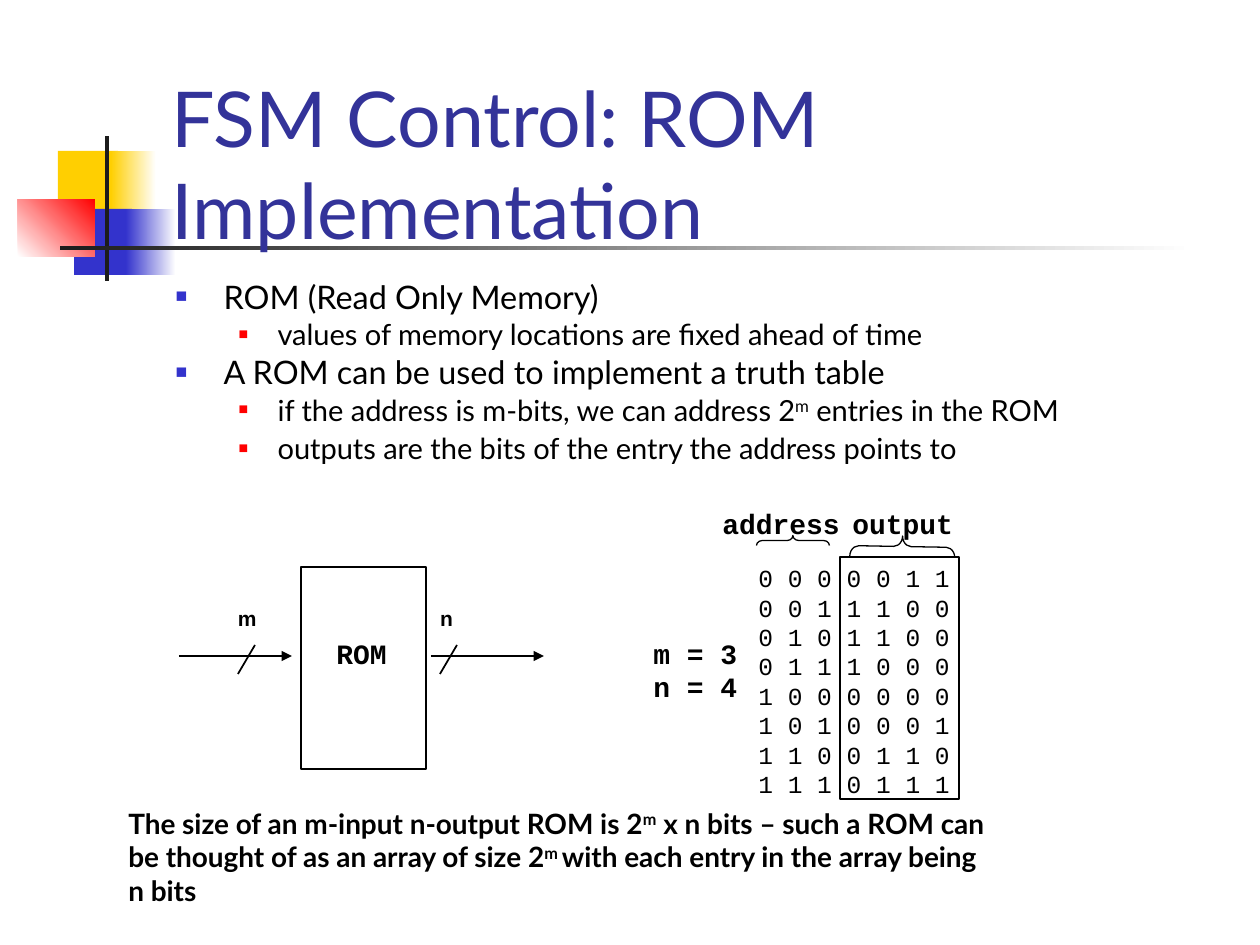
from dataclasses import dataclass

from lxml import etree
from pptx import Presentation
from pptx.dml.color import RGBColor
from pptx.enum.shapes import MSO_CONNECTOR, MSO_SHAPE
from pptx.enum.text import MSO_ANCHOR, MSO_AUTO_SIZE, PP_ALIGN
from pptx.oxml.ns import qn
from pptx.util import Pt

RECTANGLE, BRACE = MSO_SHAPE.RECTANGLE, MSO_SHAPE.RIGHT_BRACE
STRAIGHT = MSO_CONNECTOR.STRAIGHT
LEFT = PP_ALIGN.LEFT
TOP, MIDDLE = MSO_ANCHOR.TOP, MSO_ANCHOR.MIDDLE
NO_FIT = MSO_AUTO_SIZE.NONE
PX = 914400 / 126


@dataclass(frozen=True)
class Theme:
    sans: str = "Lato"
    mono: str = "Courier New"
    label: str = "Arial"
    ink: str = "000000"
    white: str = "FFFFFF"
    title: str = "333399"
    yellow: str = "FFCF01"
    blue: str = "3333CC"
    red: str = "FF0000"
    bar: str = "1C1C1C"
    title_size: float = 44
    body_size: float = 18.5
    sub_size: float = 16.6
    strong_size: float = 16
    bits_size: float = 14
    label_size: float = 12


THEME = Theme()

# Text between two carets is superscript.
TITLE = "FSM Control: ROM Implementation"
BODY = [  # level, space before in points, text
    (0, 0, "ROM (Read Only Memory)"),
    (1, 4.5, "values of memory locations are fixed ahead of time"),
    (0, 5, "A ROM can be used to implement a truth table"),
    (1, 4.5, "if the address is m-bits, we can address 2^m^ entries in the ROM"),
    (1, 6, "outputs are the bits of the entry the address points to"),
]
LEVELS = [  # size, bullet colour, bullet percent, left margin px, hanging px
    (THEME.body_size, THEME.blue, 60, 48, 48),
    (THEME.sub_size, THEME.red, 55, 102, 39),
]
ROM_OUTPUTS = ["0 0 1 1", "1 1 0 0", "1 1 0 0", "1 0 0 0",
               "0 0 0 0", "0 0 0 1", "0 1 1 0", "0 1 1 1"]
TRUTH_TABLE = [" ".join(f"{address:03b}") + " " + output
               for address, output in enumerate(ROM_OUTPUTS)]
CAPTION = [
    "The size of an m-input n-output ROM is 2^m^ x n bits – such a ROM can",
    "be thought of as an array of size 2^m ^with each entry in the array being",
    "n bits",
]

# box px, colours (two make a gradient), clockwise angle
DECORATION = [
    ((58, 151, 60, 66), (THEME.yellow,), 0),
    ((111, 151, 45, 66), (THEME.yellow, THEME.white), 0),
    ((74, 209, 58, 66), (THEME.blue,), 0),
    ((126, 209, 50, 66), (THEME.blue, THEME.white), 0),
    ((18, 199, 77, 58), (THEME.white, THEME.red), 315),
    ((105, 136, 4, 145), (THEME.bar,), 0),
    ((60, 246, 1134, 4), (THEME.bar, THEME.white), 0),
]
TITLE_BOX = (159, 84, 1074, 158)
BODY_BOX = (163, 278, 1071, 567)
ROM_BOX = (301, 567, 125, 202)
OUTPUT_FRAME = (840, 557, 119, 242)
WIRES = [(179, 236, "m"), (431, 438, "n")]  # arrow start, label left, name
WIRE_Y, WIRE_LENGTH = 656, 113
MONO_TEXTS = [  # box px, lines, size, bold
    ((746, 557, 230, 247), TRUTH_TABLE, THEME.bits_size, False),
    ((324, 630, 84, 47), ["ROM"], THEME.strong_size, True),
    ((641, 630, 116, 81), ["m = 3", "n = 4"], THEME.strong_size, True),
    ((840, 500, 134, 47), ["output"], THEME.strong_size, True),
    ((710, 500, 150, 47), ["address"], THEME.strong_size, True),
]
BRACES = [  # box px before rotation, rotation, curve
    ((892, 494, 21, 105), 271, 0.42),
    ((788, 504, 10, 73), 270, 0.58),
]


def px(*lengths):
    return [round(length * PX) for length in lengths]


def add_runs(paragraph, text, font, size, color, bold=False):
    """Write text as runs, raising the parts between carets."""
    for index, part in enumerate(text.split("^")):
        run = paragraph.add_run()
        run.text = part
        run.font.name, run.font.size, run.font.bold = font, Pt(size), bold
        run.font.color.rgb = RGBColor.from_string(color)
        if index % 2:
            run.font._element.set("baseline", "30000")


def add_shape(slide, kind, box, colors=(), angle=0, line=None):
    shape = slide.shapes.add_shape(kind, *px(*box))
    shape.shadow.inherit = False
    if len(colors) == 2:
        shape.fill.gradient()
        shape.fill.gradient_angle = (360 - angle) % 360
        for stop, color in zip(shape.fill.gradient_stops, colors):
            stop.color.rgb = RGBColor.from_string(color)
    elif colors:
        shape.fill.solid()
        shape.fill.fore_color.rgb = RGBColor.from_string(colors[0])
    else:
        shape.fill.background()
    if line:
        shape.line.width = Pt(line)
        shape.line.color.rgb = RGBColor.from_string(THEME.ink)
    else:
        shape.line.fill.background()
    return shape


def add_line(slide, start, end, arrow=False):
    line = slide.shapes.add_connector(STRAIGHT, *px(*start, *end))
    line.line.width = Pt(1)
    line.line.color.rgb = RGBColor.from_string(THEME.ink)
    properties = line._element.spPr
    if arrow:
        etree.SubElement(properties.find(qn("a:ln")), qn("a:tailEnd"), type="triangle")
    etree.SubElement(properties, qn("a:effectLst"))


def add_text(slide, box, lines, font, size, bold, inset=None, spacing=None):
    frame = slide.shapes.add_textbox(*px(*box)).text_frame
    frame.word_wrap = True
    if inset:
        (frame.margin_left, frame.margin_top,
         frame.margin_right, frame.margin_bottom) = px(*inset)
    for index, text in enumerate(lines):
        paragraph = frame.add_paragraph() if index else frame.paragraphs[0]
        if spacing:
            paragraph.line_spacing = Pt(spacing)
        add_runs(paragraph, text, font, size, THEME.ink, bold)


def set_bullet(paragraph, color, percent, margin, hanging):
    properties = paragraph._p.get_or_add_pPr()
    left, indent = px(margin, -hanging)
    properties.set("marL", str(left))
    properties.set("indent", str(indent))
    etree.SubElement(etree.SubElement(properties, qn("a:buClr")), qn("a:srgbClr"), val=color)
    etree.SubElement(properties, qn("a:buSzPct"), val=str(percent * 1000))
    etree.SubElement(properties, qn("a:buFont"), typeface=THEME.label)
    etree.SubElement(properties, qn("a:buChar"), char="■")


def place(slide, placeholder, box, anchor):
    """Move a placeholder above the decoration and return its text frame."""
    placeholder.left, placeholder.top, placeholder.width, placeholder.height = px(*box)
    slide.shapes.element.append(placeholder.element)
    frame = placeholder.text_frame
    frame.word_wrap, frame.auto_size, frame.vertical_anchor = True, NO_FIT, anchor
    return frame


def main():
    presentation = Presentation()
    presentation.slide_width, presentation.slide_height = px(1260, 945)
    slide = presentation.slides.add_slide(presentation.slide_layouts[1])
    for box, colors, angle in DECORATION:
        add_shape(slide, RECTANGLE, box, colors, angle)

    body = place(slide, slide.placeholders[1], BODY_BOX, TOP)
    for index, (level, before, text) in enumerate(BODY):
        size, *bullet = LEVELS[level]
        paragraph = body.add_paragraph() if index else body.paragraphs[0]
        paragraph.level, paragraph.alignment = level, LEFT
        paragraph.line_spacing, paragraph.space_before = 0.8, Pt(before)
        set_bullet(paragraph, *bullet)
        add_runs(paragraph, text, THEME.sans, size, THEME.ink)

    title = place(slide, slide.shapes.title, TITLE_BOX, MIDDLE).paragraphs[0]
    title.alignment = LEFT
    add_runs(title, TITLE, THEME.sans, THEME.title_size, THEME.title)

    add_shape(slide, RECTANGLE, ROM_BOX, (THEME.white,), line=1)
    for start, label_left, name in WIRES:
        add_line(slide, (start, WIRE_Y), (start + WIRE_LENGTH, WIRE_Y), arrow=True)
        add_line(slide, (label_left + 19, 645), (label_left + 2, 674))
        add_text(slide, (label_left, 602, 72, 42), [name], THEME.label,
                 THEME.label_size, True, inset=(2, 4, 2, 4), spacing=14)

    add_shape(slide, RECTANGLE, OUTPUT_FRAME, line=1)
    for box, rotation, curve in BRACES:
        brace = add_shape(slide, BRACE, box, line=0.75)
        brace.rotation, brace.adjustments[0] = rotation, curve
    for box, lines, size, bold in MONO_TEXTS:
        add_text(slide, box, lines, THEME.mono, size, bold)
    add_text(slide, (116, 800, 993, 113), CAPTION, THEME.sans, THEME.strong_size, True)
    presentation.save("out.pptx")


if __name__ == "__main__":
    main()
